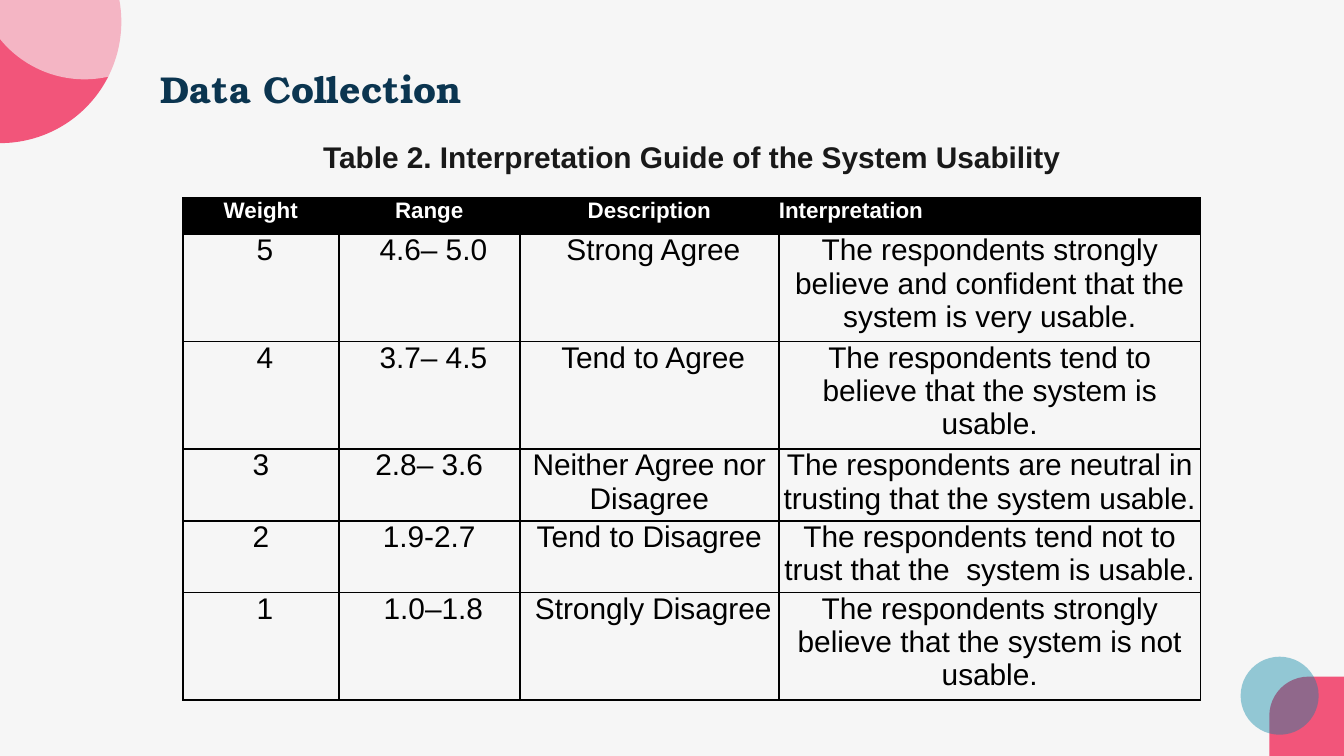
from dataclasses import dataclass

from lxml import etree
from pptx import Presentation
from pptx import util as u
from pptx.dml.color import RGBColor
from pptx.enum import shapes, text
from pptx.oxml.ns import qn


@dataclass(frozen=True)
class Theme:
    background: str = "F6F6F6"
    pink: str = "F2557A"
    teal: str = "0584A4"
    navy: str = "0B3550"
    dark: str = "191919"
    black: str = "000000"
    white: str = "FFFFFF"
    title_font: str = "TeX Gyre Bonum"
    body_font: str = "Arial"
    title_size: int = 20
    body_size: int = 16
    header_size: int = 12


class SlideBuilder:
    def __init__(self, slide, theme):
        self.slide = slide
        self.theme = theme
        fill = slide.background.fill
        fill.solid()
        fill.fore_color.rgb = RGBColor.from_string(theme.background)

    def decoration(self, kind, box, color, opacity=100, rotation=0, corner=None):
        shape = self.slide.shapes.add_shape(kind, *map(u.Pt, box))
        shape.shadow.inherit = False
        shape.line.fill.background()
        shape.fill.solid()
        shape.fill.fore_color.rgb = RGBColor.from_string(color)
        shape.rotation = rotation
        if corner is not None:
            shape.adjustments[0] = corner
        if opacity < 100:
            solid_fill = shape._element.spPr.find(qn("a:solidFill"))
            etree.SubElement(solid_fill[0], qn("a:alpha"), val=str(opacity * 1000))

    def style_text(self, frame, words, size, color, font, bold, align):
        paragraph = frame.paragraphs[0]
        paragraph.text = words
        paragraph.alignment = align
        paragraph.font.size = u.Pt(size)
        paragraph.font.name = font
        paragraph.font.bold = bold
        paragraph.font.color.rgb = RGBColor.from_string(color)

    def heading(self, box, words, size, color, font, align, inset):
        frame = self.slide.shapes.add_textbox(*map(u.Pt, box)).text_frame
        frame.word_wrap = True
        frame.margin_left = frame.margin_right = u.Pt(7.2)
        frame.margin_top = frame.margin_bottom = u.Pt(inset)
        self.style_text(frame, words, size, color, font, True, align)

    def cell_borders(self, cell):
        properties = cell._tc.get_or_add_tcPr()
        for side in ("lnL", "lnR", "lnT", "lnB"):
            line = etree.SubElement(properties, qn(f"a:{side}"), w=str(u.Pt(1)))
            fill = etree.SubElement(line, qn("a:solidFill"))
            etree.SubElement(fill, qn("a:srgbClr"), val=self.theme.black)

    def table(self, left, top, widths, heights, rows):
        theme = self.theme
        box = (left, top, sum(widths), sum(heights))
        table = self.slide.shapes.add_table(
            len(rows), len(widths), *map(u.Pt, box)).table
        table.first_row = table.horz_banding = False
        for column, width in zip(table.columns, widths):
            column.width = u.Pt(width)
        for row, height in zip(table.rows, heights):
            row.height = u.Pt(height)
        for row_index, row in enumerate(rows):
            header = row_index == 0
            for column_index, words in enumerate(row):
                cell = table.cell(row_index, column_index)
                cell.margin_left = cell.margin_right = 0
                cell.margin_top = cell.margin_bottom = 0
                self.cell_borders(cell)
                if header:
                    cell.fill.solid()
                    cell.fill.fore_color.rgb = RGBColor.from_string(theme.black)
                else:
                    cell.fill.background()
                left_aligned = header and column_index == len(row) - 1
                self.style_text(
                    cell.text_frame, words,
                    theme.header_size if header else theme.body_size,
                    theme.white if header else theme.black,
                    theme.body_font, header,
                    text.PP_ALIGN.LEFT if left_aligned else text.PP_ALIGN.CENTER)


INTERPRETATION_GUIDE = [
    ("Weight", "Range", "Description", "Interpretation"),
    (" 5", " 4.6– 5.0", " Strong Agree",
     "The respondents strongly believe and confident that the system is very usable."),
    (" 4", " 3.7– 4.5", " Tend to Agree",
     "The respondents tend to believe that the system is usable."),
    ("3", "2.8– 3.6", "Neither Agree nor Disagree",
     "The respondents are neutral in trusting that the system usable."),
    ("2", "1.9-2.7", "Tend to Disagree",
     "The respondents tend not to trust that the  system is usable."),
    (" 1", " 1.0–1.8", " Strongly Disagree",
     "The respondents strongly believe that the system is not usable."),
]


def main():
    presentation = Presentation()
    presentation.slide_width = u.Pt(720)
    presentation.slide_height = u.Pt(405)
    theme = Theme()
    slide = presentation.slides.add_slide(presentation.slide_layouts[6])
    builder = SlideBuilder(slide, theme)
    kinds = shapes.MSO_SHAPE

    builder.decoration(kinds.OVAL, (-65, -53.3, 130, 130), theme.pink)
    builder.decoration(kinds.ROUND_1_RECTANGLE, (679.8, 362.7, 42.4, 42), theme.pink,
                       rotation=270, corner=0.5)
    builder.decoration(kinds.OVAL, (664.6, 351.8, 41.8, 41.8), theme.teal, opacity=41)
    builder.decoration(kinds.ROUNDED_RECTANGLE, (-13, -301, 116.6, 343.5),
                       theme.background, opacity=60, corner=0.5)

    builder.heading((79, 28, 441.4, 42.5), "Data Collection", theme.title_size,
                    theme.navy, theme.title_font, text.PP_ALIGN.LEFT, 7.2)
    builder.heading((153.2, 70.8, 435, 26.6),
                    "Table 2. Interpretation Guide of the System Usability",
                    theme.body_size, theme.dark, theme.body_font,
                    text.PP_ALIGN.CENTER, 3.6)
    builder.table(98, 106.2, (83.5, 97, 138.8, 226),
                  (19.2, 57.4, 57.4, 38.2, 38.2, 57.4), INTERPRETATION_GUIDE)

    presentation.save("out.pptx")


if __name__ == "__main__":
    main()
